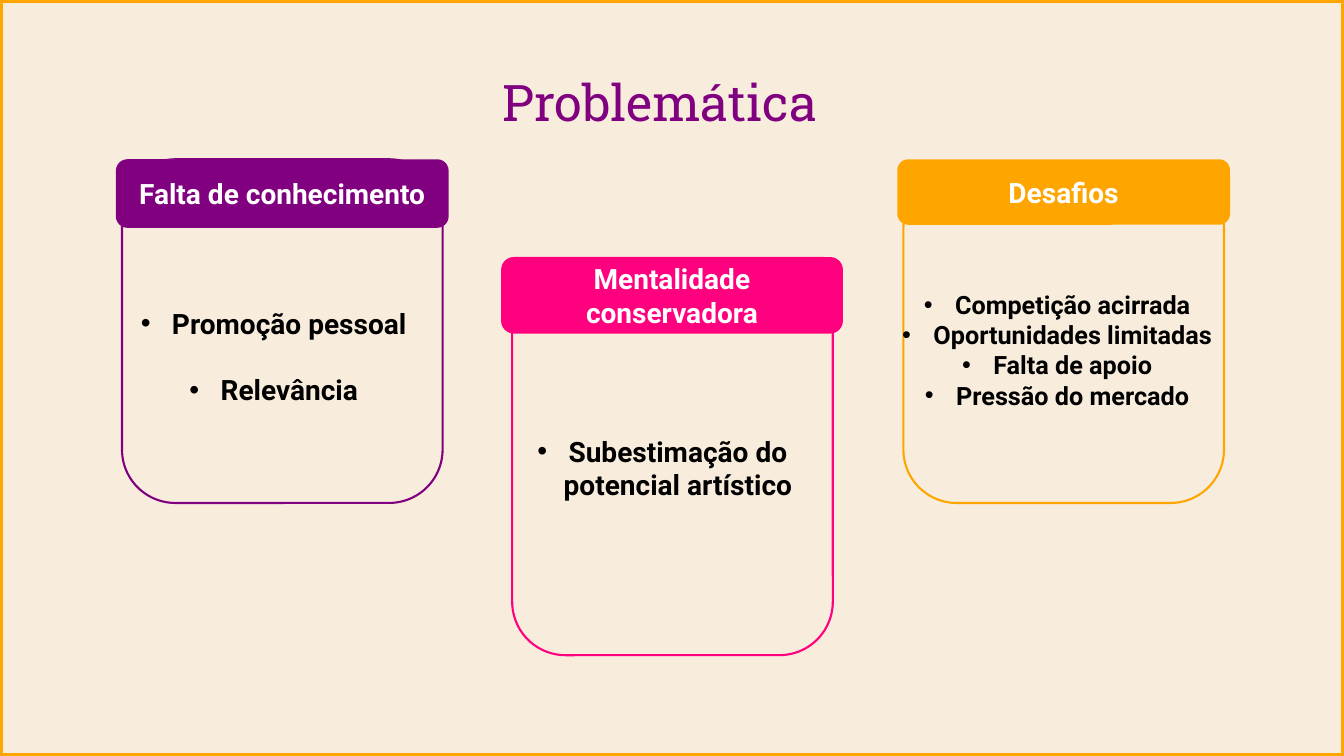
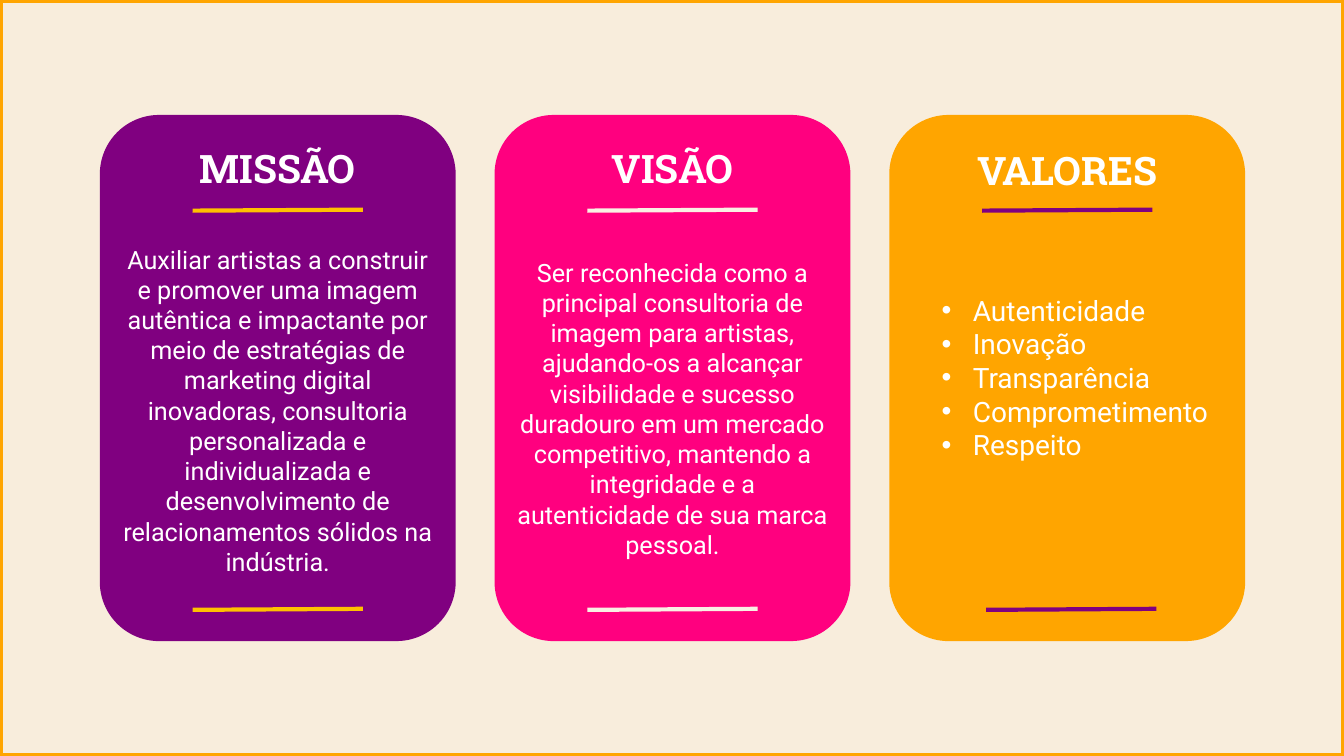
from lxml.etree import SubElement
from pptx import Presentation
from pptx.dml.color import RGBColor
from pptx.enum.shapes import MSO_CONNECTOR as Link, MSO_SHAPE as Form
from pptx.enum.text import MSO_ANCHOR as Anchor, PP_ALIGN as Align
from pptx.oxml.ns import qn
from pptx.util import Inches, Pt

WIDE, HIGH = 13.33, 7.5
COLORS = {
    "cream": "F8EDDC", "purple": "800080", "pink": "FF007F", "orange": "FFA500",
    "gold": "FFC000", "pale": "F9F0E3", "white": "FFFFFF", "black": "000000",
}
SANS, SLAB = "Roboto", "Roboto Slab"

# Boxes are (left, top, width, height) in inches.
PROBLEMS = [
    dict(color="purple", head="Falta de conhecimento",
         bar=(1.15, 1.58, 3.3, 0.68), frame=(1.21, 1.58, 3.18, 3.41),
         items=["Promoção pessoal", "Relevância"],
         box=(1.05, 2.99, 3.33, 1.11), size=20, gap=23.5),
    dict(color="pink", head="Mentalidade conservadora",
         bar=(4.97, 2.55, 3.39, 0.76), frame=(5.08, 2.71, 3.18, 3.79),
         items=["Subestimação do potencial artístico"],
         box=(5.13, 4.26, 2.88, 0.77), size=20, gap=0),
    dict(color="orange", head="Desafios",
         bar=(8.9, 1.58, 3.3, 0.65), frame=(8.96, 1.74, 3.18, 3.25),
         items=["Competição acirrada", "Oportunidades limitadas",
                "Falta de apoio", "Pressão do mercado"],
         box=(8.82, 2.82, 3.33, 1.62), size=18, gap=0),
]

# Body boxes and rules are measured from the left of their card.
CARDS = [
    dict(color="purple", rule="gold", head="MISSÃO", top=1.38, foot=0.92,
         body=["Auxiliar artistas a construir e promover uma imagem autêntica "
               "e impactante por meio de estratégias de marketing digital "
               "inovadoras, consultoria personalizada e individualizada e "
               "desenvolvimento de relacionamentos sólidos na indústria."],
         box=(0.1, 2.37, 3.33, 3.43), style=dict(size=18)),
    dict(color="pink", rule="pale", head="VISÃO", top=1.38, foot=0.92,
         body=["Ser reconhecida como a principal consultoria de imagem para "
               "artistas, ajudando-os a alcançar visibilidade e sucesso "
               "duradouro em um mercado competitivo, mantendo a integridade "
               "e a autenticidade de sua marca pessoal."],
         box=(0.1, 2.5, 3.33, 3.13), style=dict(size=18)),
    dict(color="orange", rule="purple", head="VALORES", top=1.4, foot=0.96,
         body=["Autenticidade", "Inovação", "Transparência",
               "Comprometimento", "Respeito"],
         box=(0.42, 2.86, 3.11, 1.78),
         style=dict(size=20, align=Align.LEFT, bullet=True)),
]
CARD_LEFT, CARD_TOP, CARD_W, CARD_H, CARD_STEP = 0.99, 1.14, 3.53, 5.22, 3.915
RULE_LEFT, RULE_W, RULE_TOP, RULE_LOW = 0.92, 1.69, 2.09, 6.05


def rgb(name):
    return RGBColor.from_string(COLORS[name])


def inches(box):
    return [Inches(n) for n in box]


def add_bullet(para):
    props = para._p.get_or_add_pPr()
    props.set("marL", str(Inches(0.31)))
    props.set("indent", str(Inches(-0.31)))
    SubElement(props, qn("a:buFont"), typeface="Arial")
    SubElement(props, qn("a:buChar"), char="•")


def write(frame, lines, size, color="white", font=SANS, bold=False,
          align=Align.CENTER, bullet=False, gap=0):
    """Fill a text frame with one paragraph per line, gap points apart."""
    frame.word_wrap = True
    for i, line in enumerate(lines):
        para = frame.add_paragraph() if i else frame.paragraphs[0]
        para.text = line
        para.alignment = align
        para.font.size, para.font.name, para.font.bold = Pt(size), font, bold
        para.font.color.rgb = rgb(color)
        if i and gap:
            para.space_before = Pt(gap)
        if bullet:
            add_bullet(para)


def add_text(slide, box, lines, size, **style):
    write(slide.shapes.add_textbox(*inches(box)).text_frame, lines, size, **style)


def add_form(slide, form, box, fill=None, line=None, width=1.5):
    shape = slide.shapes.add_shape(form, *inches(box))
    shape.shadow.inherit = False
    for name, part in ((fill, shape.fill), (line, shape.line.fill)):
        if name:
            part.solid()
            part.fore_color.rgb = rgb(name)
        else:
            part.background()
    if line:
        shape.line.width = Pt(width)
    return shape


def add_rule(slide, left, top, color):
    ends = inches((left, top, left + RULE_W, top - 0.01))
    rule = slide.shapes.add_connector(Link.STRAIGHT, *ends)
    rule.line.color.rgb = rgb(color)
    rule.line.width = Pt(3)
    SubElement(rule._element.spPr, qn("a:effectLst"))


def add_border(slide):
    add_form(slide, Form.RECTANGLE, (0, 0, WIDE, HIGH), line="orange", width=4.5)


def draw_problems(slide):
    add_text(slide, (4.27, 0.66, 4.55, 0.71), ["Problemática"], 36,
             color="purple", font=SLAB)
    for item in PROBLEMS:
        add_form(slide, Form.ROUNDED_RECTANGLE, item["frame"], line=item["color"])
        bar = add_form(slide, Form.ROUNDED_RECTANGLE, item["bar"], item["color"])
        bar.text_frame.vertical_anchor = Anchor.MIDDLE
        write(bar.text_frame, [item["head"]], 20, bold=True)
        add_text(slide, item["box"], item["items"], item["size"], color="black",
                 bold=True, bullet=True, gap=item["gap"])


def draw_cards(slide):
    for i, card in enumerate(CARDS):
        left = CARD_LEFT + i * CARD_STEP
        add_form(slide, Form.ROUNDED_RECTANGLE,
                 (left, CARD_TOP, CARD_W, CARD_H), card["color"])
        add_text(slide, (left, card["top"], CARD_W, 0.57), [card["head"]], 28,
                 font=SLAB, bold=True)
        shift, *rest = card["box"]
        add_text(slide, (left + shift, *rest), card["body"], **card["style"])
        add_rule(slide, left + RULE_LEFT, RULE_TOP, card["rule"])
        add_rule(slide, left + card["foot"], RULE_LOW, card["rule"])


def main():
    deck = Presentation()
    deck.slide_width, deck.slide_height = inches((WIDE, HIGH))
    back = deck.slide_master.background.fill
    back.solid()
    back.fore_color.rgb = rgb("cream")
    for draw in (draw_problems, draw_cards):
        slide = deck.slides.add_slide(deck.slide_layouts[6])
        draw(slide)
        add_border(slide)
    deck.save("out.pptx")


if __name__ == "__main__":
    main()
